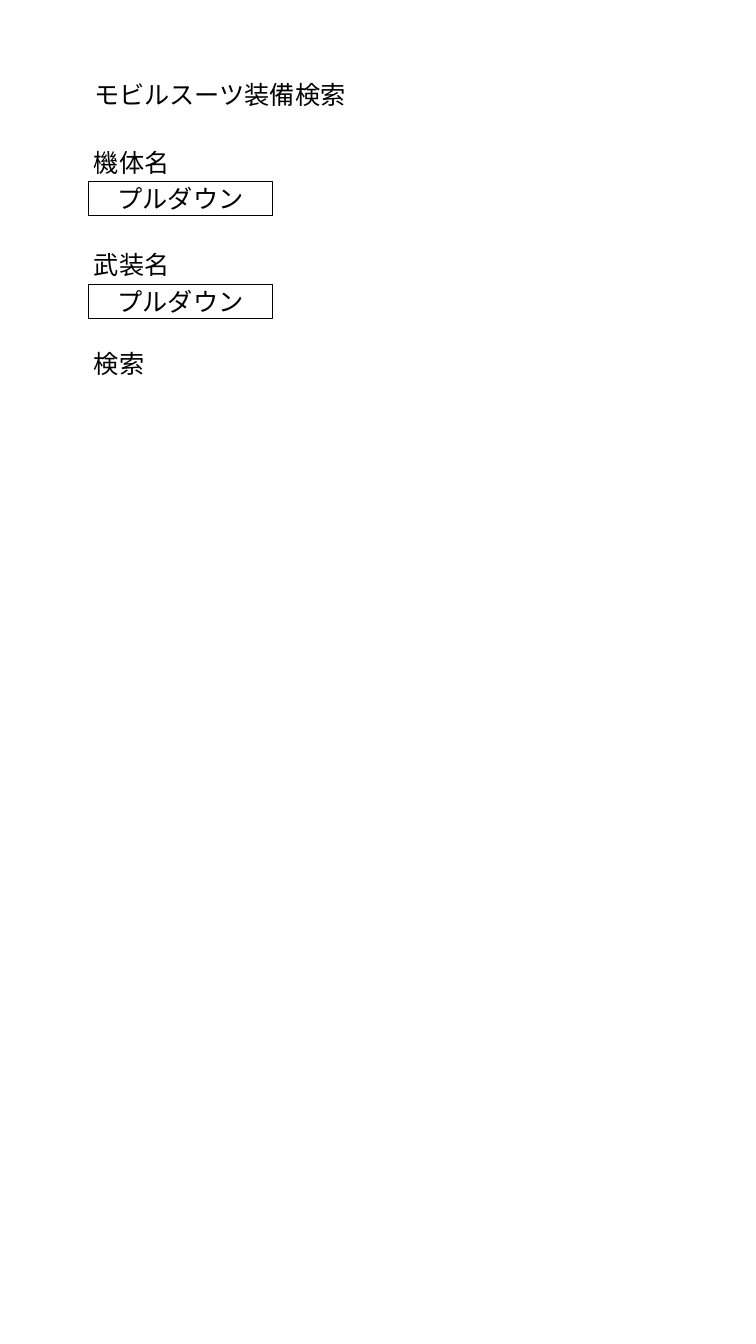
from dataclasses import dataclass

from pptx import Presentation
from pptx.dml.color import RGBColor
from pptx.enum.shapes import MSO_SHAPE
from pptx.enum.text import MSO_ANCHOR, MSO_AUTO_SIZE, PP_ALIGN
from pptx.shapes.autoshape import Shape
from pptx.slide import Slide
from pptx.util import Pt

RECT = MSO_SHAPE.RECTANGLE
TOP, MIDDLE = MSO_ANCHOR.TOP, MSO_ANCHOR.MIDDLE
LEFT, CENTER = PP_ALIGN.LEFT, PP_ALIGN.CENTER
FIT, FIXED = MSO_AUTO_SIZE.SHAPE_TO_FIT_TEXT, MSO_AUTO_SIZE.NONE


@dataclass(frozen=True)
class Theme:
    font: str = "Calibri"
    size: float = 18
    line: float = 1
    ink: RGBColor = RGBColor(0, 0, 0)
    paper: RGBColor = RGBColor(255, 255, 255)


@dataclass(frozen=True)
class Item:
    text: str
    left: float
    top: float
    width: float
    height: float


THEME = Theme()
LABEL = {"word_wrap": True, "auto_size": FIT, "vertical_anchor": TOP}
FIELD = {"word_wrap": True, "auto_size": FIXED, "vertical_anchor": MIDDLE}

TITLE = Item("モビルスーツ装備検索", 60, 53.2, 210.2, 29.1)
LABELS = [
    Item(text, 60, top, 118, 29.1)
    for text, top in (("機体名", 101.4), ("武装名", 174.4), ("検索", 245.6))
]
FIELDS = [Item("プルダウン", 63.4, top, 131.2, 24.5) for top in (129.6, 203.2)]


def write(shape: Shape, text: str, frame: dict, align: PP_ALIGN) -> None:
    for key, value in frame.items():
        setattr(shape.text_frame, key, value)
    para = shape.text_frame.paragraphs[0]
    para.alignment = align
    run = para.add_run()
    run.text = text
    for key, value in {"name": THEME.font, "size": Pt(THEME.size)}.items():
        setattr(run.font, key, value)
    run.font.color.rgb = THEME.ink


def bounds(item: Item) -> tuple[Pt, ...]:
    return tuple(Pt(n) for n in (item.left, item.top, item.width, item.height))


def add_title(slide: Slide, item: Item) -> None:
    title = slide.shapes.title
    title.left, title.top, title.width, title.height = bounds(item)
    write(title, item.text, LABEL, LEFT)


def add_label(slide: Slide, item: Item) -> None:
    write(slide.shapes.add_textbox(*bounds(item)), item.text, LABEL, LEFT)


def add_field(slide: Slide, item: Item) -> None:
    box = slide.shapes.add_shape(RECT, *bounds(item))
    box.shadow.inherit = False
    box.fill.solid()
    box.fill.fore_color.rgb = THEME.paper
    box.line.color.rgb = THEME.ink
    box.line.width = Pt(THEME.line)
    write(box, item.text, FIELD, CENTER)


def main() -> None:
    deck = Presentation()
    deck.slide_width, deck.slide_height = Pt(540), Pt(960)
    slide = deck.slides.add_slide(deck.slide_layouts.get_by_name("Title Only"))
    add_title(slide, TITLE)
    for item in LABELS:
        add_label(slide, item)
    for item in FIELDS:
        add_field(slide, item)
    deck.save("out.pptx")


if __name__ == "__main__":
    main()
